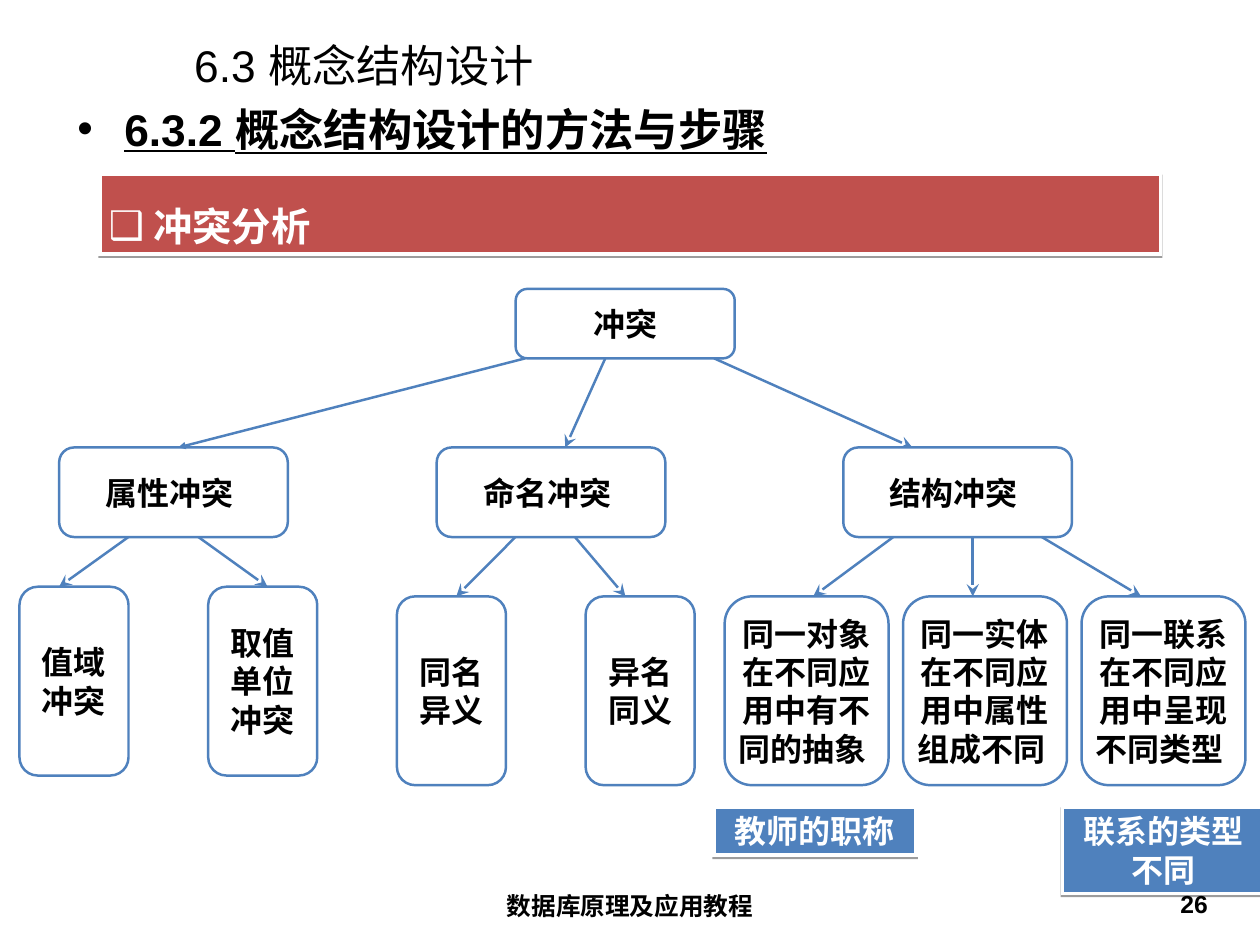
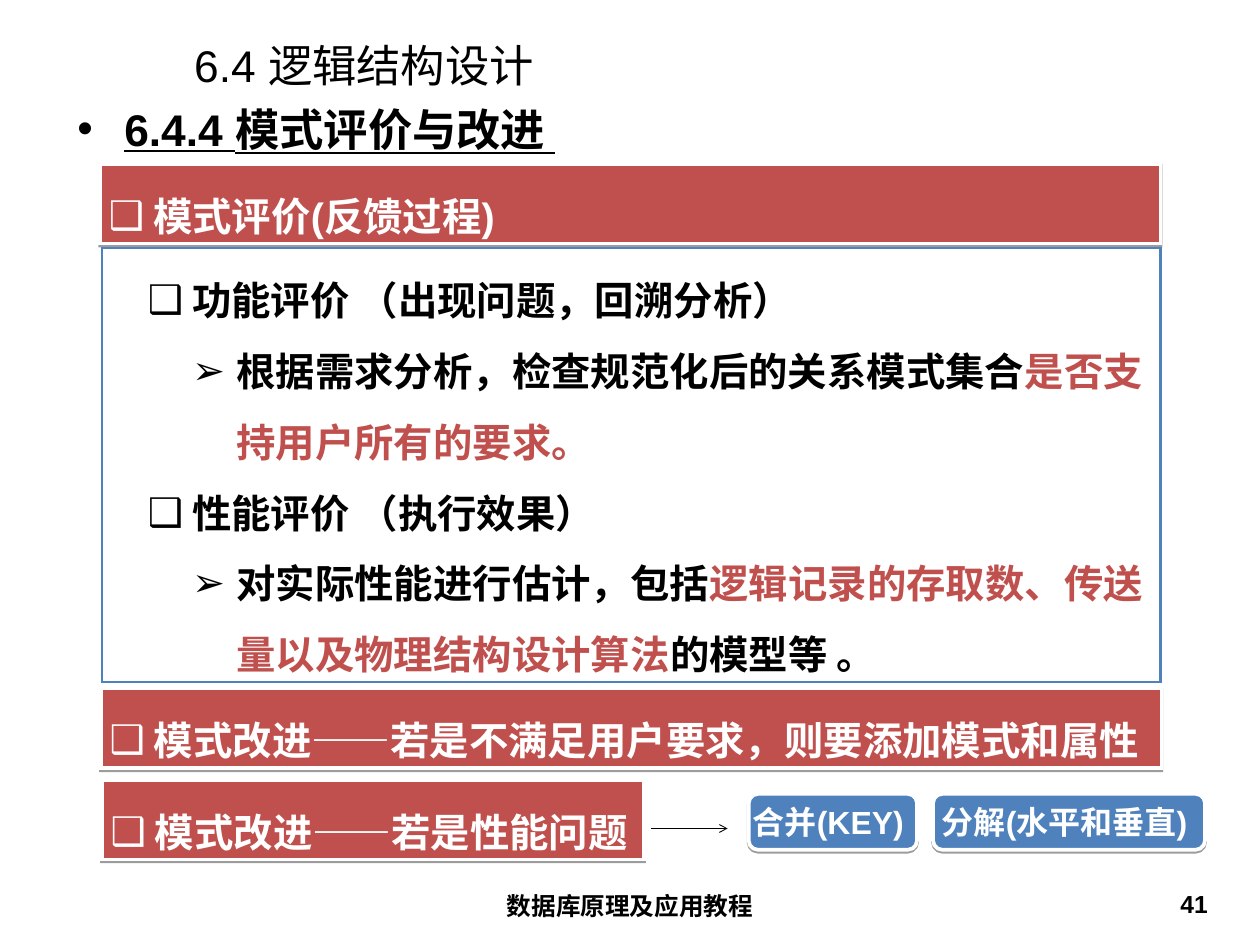
from pptx import Presentation
from pptx.dml.color import RGBColor
from pptx.enum import shapes, text
from pptx.oxml import ns, xmlchemy
from pptx.util import Pt

BLACK = RGBColor(0x00, 0x00, 0x00)
WHITE = RGBColor(0xFF, 0xFF, 0xFF)
RED = RGBColor(0xC0, 0x50, 0x4D)
BLUE = RGBColor(0x4F, 0x81, 0xBD)

FONT = "Arial"
WIDE_INSET = (10, 5)
NARROW_INSET = (7.2, 3.6)
LEFT, CENTER, RIGHT = text.PP_ALIGN.LEFT, text.PP_ALIGN.CENTER, text.PP_ALIGN.RIGHT
TOP, MIDDLE = text.MSO_ANCHOR.TOP, text.MSO_ANCHOR.MIDDLE
RECTANGLE = shapes.MSO_SHAPE.RECTANGLE
ROUNDED = shapes.MSO_SHAPE.FLOWCHART_ALTERNATE_PROCESS


def add_element(parent, tag, **attributes):
    element = xmlchemy.OxmlElement(tag)
    for key, value in attributes.items():
        element.set(key, str(value))
    parent.append(element)
    return element


def points(*lengths):
    return [Pt(length) for length in lengths]


def set_frame(frame, inset=WIDE_INSET, anchor=TOP, wrap=True):
    frame.auto_size = text.MSO_AUTO_SIZE.NONE
    frame.word_wrap = wrap
    frame.vertical_anchor = anchor
    frame.margin_left = frame.margin_right = Pt(inset[0])
    frame.margin_top = frame.margin_bottom = Pt(inset[1])


def set_bullet(paragraph, char, margin, hanging):
    properties = paragraph._p.get_or_add_pPr()
    properties.set("marL", str(Pt(margin)))
    properties.set("indent", str(Pt(-hanging)))
    add_element(properties, "a:buFont", typeface=FONT)
    add_element(properties, "a:buChar", char=char)


def style(paragraph, size, color=BLACK, bold=True, align=LEFT, spacing=None):
    paragraph.alignment = align
    if spacing:
        paragraph.line_spacing = spacing
    font = paragraph.font
    font.name, font.size, font.bold = FONT, Pt(size), bold
    font.color.rgb = color


def write_lines(frame, lines, **look):
    for index, line in enumerate(lines):
        paragraph = frame.add_paragraph() if index else frame.paragraphs[0]
        paragraph.text = line
        style(paragraph, **look)


def add_label(slide, box, wording, inset, align):
    frame = slide.shapes.add_textbox(*points(*box)).text_frame
    set_frame(frame, inset)
    write_lines(frame, [wording], size=20, align=align)


def add_block(slide, kind, box, fill, line, line_width, shadow=False):
    block = slide.shapes.add_shape(kind, *points(*box))
    block.fill.solid()
    block.fill.fore_color.rgb = fill
    block.line.color.rgb = line
    block.line.width = Pt(line_width)
    if kind == RECTANGLE:
        add_element(block.line._get_or_add_ln(), "a:miter", lim=800000)
    block.shadow.inherit = False
    if shadow:
        effects = block._element.spPr.find(ns.qn("a:effectLst"))
        outer = add_element(effects, "a:outerShdw", blurRad=0, dist=Pt(1.6),
                            dir=5400000, rotWithShape=0)
        color = add_element(outer, "a:srgbClr", val=str(BLACK))
        add_element(color, "a:alpha", val=38000)
    return block


def add_arrow(slide, start, end, color, width, head, head_size="med"):
    arrow = slide.shapes.add_connector(
        shapes.MSO_CONNECTOR.STRAIGHT, *points(*start, *end))
    arrow.line.color.rgb = color
    arrow.line.width = Pt(width)
    add_element(arrow.line._get_or_add_ln(), "a:tailEnd",
                type=head, w=head_size, len=head_size)
    add_element(arrow._element.spPr, "a:effectLst")


def add_page(deck, chapter, section, number):
    slide = deck.slides.add_slide(deck.slide_layouts[5])
    title = slide.shapes.title
    title.left, title.top, title.width, title.height = points(147.8, 32.4, 851.8, 41)
    set_frame(title.text_frame, anchor=MIDDLE)
    write_lines(title.text_frame, [chapter], size=36, bold=False)

    heading = slide.shapes.add_textbox(*points(52.8, 77.8, 921.6, 64)).text_frame
    set_frame(heading)
    paragraph = heading.paragraphs[0]
    paragraph.text = section
    set_bullet(paragraph, "•", 38.2, 38.2)
    style(paragraph, 36)
    paragraph.font.underline = True

    add_label(slide, (350, 718.6, 324, 39.6), "数据库原理及应用教程", WIDE_INSET, CENTER)
    add_label(slide, (749.5, 718.6, 239, 39.6), number, NARROW_INSET, RIGHT)
    return slide


def add_band(slide, left, top, wording, width=861.8):
    band = add_block(slide, RECTANGLE, (left, top, width, 64.8), RED, WHITE, 3, True)
    set_frame(band.text_frame, NARROW_INSET)
    paragraph = band.text_frame.paragraphs[0]
    paragraph.text = wording
    set_bullet(paragraph, "❑", 36, 36)
    style(paragraph, 32, WHITE, spacing=1.5)


def add_node(slide, box, lines):
    node = add_block(slide, ROUNDED, box, WHITE, BLUE, 2)
    set_frame(node.text_frame, anchor=MIDDLE, wrap=False)
    write_lines(node.text_frame, lines, size=26, align=CENTER)


def add_tag(slide, kind, box, wording):
    tag = add_block(slide, kind, box, BLUE, WHITE, 3, True)
    if kind == ROUNDED:
        set_frame(tag.text_frame, anchor=MIDDLE, wrap=False)
    else:
        set_frame(tag.text_frame, NARROW_INSET)
    write_lines(tag.text_frame, [wording], size=26, color=WHITE, align=CENTER)


def add_conflict_tree(slide, left, top):
    root_height, branch_top, branch_height = 56.4, 128.8, 72.8
    branch_bottom = branch_top + branch_height
    high_leaf, low_leaf = 242, 249.8
    branches = [(32.2, "属性冲突 "), (339, "命名冲突 "), (669.4, "结构冲突 ")]
    short_leaves = [
        (high_leaf, ["值域", " 冲突 "]),
        (high_leaf, ["取值", "单位", " 冲突 "]),
        (low_leaf, ["同名", " 异义 "]),
        (low_leaf, ["异名", " 同义 "]),
    ]
    structure_leaves = [
        ["同一对象", "在不同应", "用中有不", "同的抽象 "],
        ["同一实体", "在不同应", "用中属性", "组成不同 "],
        ["同一联系", "在不同应", "用中呈现", "不同类型 "],
    ]
    arrow_rows = [
        (root_height, branch_top, "triangle", "med", [(411, 129)]),
        (root_height, branch_top, "stealth", "lg", [(476, 443.5), (564.4, 725.6)]),
        (branch_bottom, high_leaf, "stealth", "lg", [(88.5, 32.2), (145.4, 201.6)]),
        (branch_bottom, low_leaf, "stealth", "lg",
         [(403, 355), (451.4, 492.4), (710, 645), (774.6, 774.6), (830.8, 911.4)]),
    ]
    add_node(slide, (left + 403.2, top, 178, root_height), ["冲突"])
    for x, wording in branches:
        add_node(slide, (left + x, top + branch_top, 185.8, branch_height), [wording])
    for column, (y, lines) in enumerate(short_leaves):
        add_node(slide, (left + 153.36 * column, top + y, 88.6, 153.4), lines)
    for column, lines in enumerate(structure_leaves):
        add_node(slide, (left + 573 + 145 * column, top + low_leaf, 133.2, 153.4), lines)
    for start_y, end_y, head, head_size, spans in arrow_rows:
        for start_x, end_x in spans:
            add_arrow(slide, (left + start_x, top + start_y),
                      (left + end_x, top + end_y), BLUE, 2, head, head_size)


def add_evaluation_panel(slide, box):
    entries = [
        (0, [("功能评价 （出现问题，回溯分析）", BLACK)]),
        (1, [("根据需求分析，检查规范化后的关系模式集合", BLACK),
             ("是否支持用户所有的要求。", RED)]),
        (0, [("性能评价 （执行效果）", BLACK)]),
        (1, [("对实际性能进行估计，包括", BLACK),
             ("逻辑记录的存取数、传送量以及物理结构设计算法", RED),
             ("的模型等 。", BLACK)]),
    ]
    bullets = [("❑", 66.2), ("➢", 102.2)]
    frame = add_block(slide, RECTANGLE, box, WHITE, BLUE, 2).text_frame
    set_frame(frame, NARROW_INSET)
    for index, (level, pieces) in enumerate(entries):
        paragraph = frame.add_paragraph() if index else frame.paragraphs[0]
        paragraph.level = level
        set_bullet(paragraph, *bullets[level], 36)
        style(paragraph, 32, spacing=1.5)
        for wording, color in pieces:
            run = paragraph.add_run()
            run.text = wording
            if color != BLACK:
                run.font.color.rgb = color


def add_performance_row(slide, left, top):
    for x, width, wording in [(525.6, 136.8, "合并(KEY) "), (675.4, 221, "分解(水平和垂直) ")]:
        add_tag(slide, ROUNDED, (left + x, top + 11.5, width, 45.4), wording)
    add_band(slide, left, top, "模式改进——若是性能问题", 440.6)
    add_arrow(slide, (left + 446.4, top + 39.6), (left + 508.4, top + 39.6),
              BLACK, 0.75, "arrow")


def build_conflict_slide(deck):
    slide = add_page(deck, "6.3 概念结构设计", "6.3.2 概念结构设计的方法与步骤", "26")
    add_band(slide, 81.4, 141.8, "冲突分析")
    add_conflict_tree(slide, 15.84, 234.8)
    for left, height, wording in [(580.3, 39, "教师的职称"), (863.3, 70, "联系的类型不同")]:
        add_tag(slide, RECTANGLE, (left, 656, 164, height), wording)


def build_evaluation_slide(deck):
    slide = add_page(deck, "6.4 逻辑结构设计", "6.4.4 模式评价与改进 ", "41")
    add_band(slide, 81.4, 133.2, "模式评价(反馈过程)")
    add_evaluation_panel(slide, (82.8, 201.6, 860.4, 352.8))
    add_band(slide, 82, 559.6, "模式改进——若是不满足用户要求，则要添加模式和属性")
    add_performance_row(slide, 82.8, 633.6)


def main():
    deck = Presentation()
    deck.slide_width, deck.slide_height = points(1023.87, 767.87)
    build_conflict_slide(deck)
    build_evaluation_slide(deck)
    deck.save("out.pptx")


if __name__ == "__main__":
    main()
